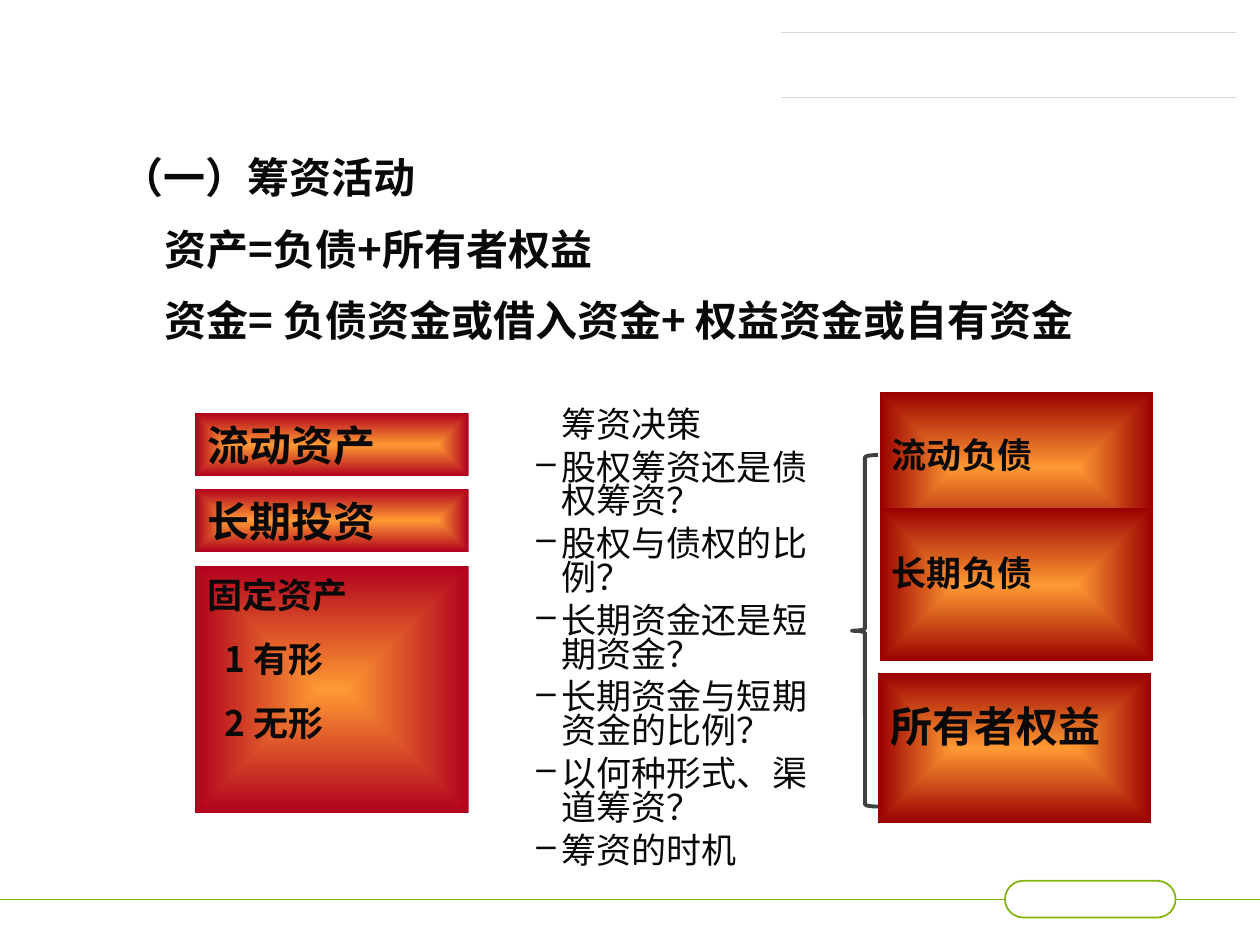
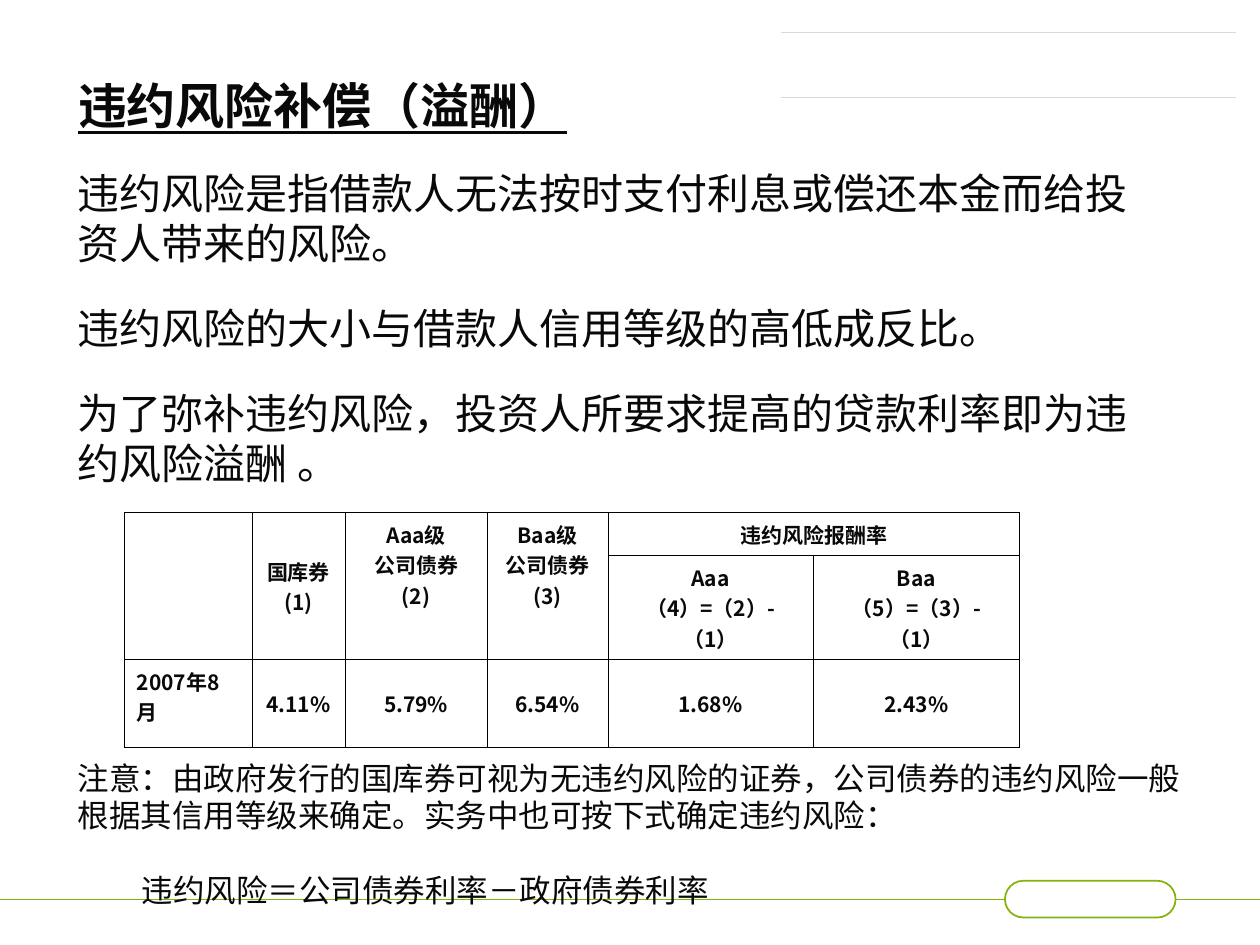
"""Build two finance slides: financing activities and the default risk premium."""
from lxml import etree
from pptx import Presentation
from pptx.dml.color import RGBColor
from pptx.enum.shapes import MSO_CONNECTOR, MSO_SHAPE
from pptx.enum.text import MSO_ANCHOR, PP_ALIGN
from pptx.oxml.ns import qn
from pptx.util import Pt

STRAIGHT = MSO_CONNECTOR.STRAIGHT
RECTANGLE, PILL, BRACE = MSO_SHAPE.RECTANGLE, MSO_SHAPE.ROUNDED_RECTANGLE, MSO_SHAPE.LEFT_BRACE
TOP, MIDDLE = MSO_ANCHOR.TOP, MSO_ANCHOR.MIDDLE
LEFT, CENTER = PP_ALIGN.LEFT, PP_ALIGN.CENTER
SC, JP, ARIAL = "Noto Sans CJK SC", "Noto Sans CJK JP", "Arial"
INK, GREEN, GREY, ORANGE = "090909", "83B40D", "D8D9DA", "FF9933"
CRIMSON, MAROON, BRACE_GREY, BLACK = "B1011E", "990000", "3F4143", "000000"


def rgb(code):
    """Turn a hex string into a colour."""
    return RGBColor.from_string(code)


def write(frame, lines, size, pitch=None, gap=0, bold=False, font=SC, align=LEFT, anchor=TOP):
    """Fill a text frame with one paragraph per line and return the paragraphs."""
    frame.word_wrap = True
    frame.vertical_anchor = anchor
    for index, line in enumerate(lines):
        paragraph = frame.paragraphs[0] if index == 0 else frame.add_paragraph()
        paragraph.alignment = align
        paragraph.space_before = Pt(gap if index else 0)
        if pitch:
            paragraph.line_spacing = Pt(pitch)
        run = paragraph.add_run()
        run.text = line
        run.font.size = Pt(size)
        run.font.bold = bold
        run.font.color.rgb = rgb(INK)
        run.font.name = font
        east_asian = SC if font == ARIAL else font
        etree.SubElement(run.font._element, qn("a:ea"), typeface=east_asian)
    return frame.paragraphs


deck = Presentation()
deck.slide_width, deck.slide_height = Pt(720), Pt(540)
title_only = deck.slide_layouts[5]
financing, default_risk = [deck.slides.add_slide(title_only) for _ in range(2)]

rules = [
    (446.4, 706.3, 18.5, GREY),
    (446.4, 706.3, 55.5, GREY),
    (0, 574.3, 514, GREEN),
    (671.8, 720, 514, GREEN),
]
for slide in (financing, default_risk):
    for start, end, y, colour in rules:
        rule = slide.shapes.add_connector(STRAIGHT, Pt(start), Pt(y), Pt(end), Pt(y))
        rule.line.color.rgb = rgb(colour)
        rule.line.width = Pt(0.5)
        etree.SubElement(rule._element.spPr, qn("a:effectLst"))
    page_pill = slide.shapes.add_shape(PILL, Pt(574.3), Pt(503.3), Pt(97.5), Pt(21))
    page_pill.adjustments[0] = 0.5
    page_pill.shadow.inherit = False
    page_pill.fill.background()
    page_pill.line.color.rgb = rgb(GREEN)
    page_pill.line.width = Pt(1)

headings = [
    (financing, "（一）筹资活动", (62, 86, 620, 40), 24, 25.6, SC),
    (default_risk, "违约风险补偿（溢酬）", (37.4, 40.4, 618, 46), 28, 33, ARIAL),
]
for slide, wording, (x, y, width, height), size, pitch, font in headings:
    heading = slide.shapes.title
    heading.left, heading.top = Pt(x), Pt(y)
    heading.width, heading.height = Pt(width), Pt(height)
    write(heading.text_frame, [wording], size, pitch, bold=True, font=font)
default_risk.shapes.title.text_frame.paragraphs[0].runs[0].font.underline = True

equations = financing.shapes.add_textbox(Pt(87.1), Pt(127.4), Pt(599), Pt(75))
write(equations.text_frame,
      ["资产=负债+所有者权益", "资金= 负债资金或借入资金+ 权益资金或自有资金"],
      24, 25.6, gap=15, bold=True)

funding_brace = financing.shapes.add_shape(BRACE, Pt(486.7), Pt(260), Pt(15.1), Pt(200.9))
funding_brace.shadow.inherit = False
funding_brace.fill.background()
funding_brace.line.color.rgb = rgb(BRACE_GREY)
funding_brace.line.width = Pt(2.25)

decisions = financing.shapes.add_textbox(Pt(299.5), Pt(231), Pt(187.2), Pt(292))
questions = ["筹资决策", "股权筹资还是债权筹资？", "股权与债权的比例？", "长期资金还是短期资金？",
             "长期资金与短期资金的比例？", "以何种形式、渠道筹资？", "筹资的时机"]
for index, question in enumerate(write(decisions.text_frame, questions, 20, 19.4, gap=5)):
    properties = question._p.get_or_add_pPr()
    properties.set("marL", str(Pt(14.4)))
    properties.set("indent", str(-Pt(14.4) if index else 0))
    if index:
        etree.SubElement(properties, qn("a:buChar"), char="–")

balance_sheet = [
    (111.6, 236.2, 36, CRIMSON, ["流动资产"], 24, JP, 3.6),
    (111.6, 323.3, 141.1, CRIMSON, ["固定资产", "1 有形", "2 无形"], 20, SC, 4.6),
    (501.8, 384.5, 85.7, MAROON, ["所有者权益"], 24, JP, 15.8),
    (502.6, 223.9, 86.4, MAROON, ["流动负债"], 20, JP, 23.7),
    (502.6, 290.2, 87.8, MAROON, ["长期负债"], 20, JP, 24.8),
    (111.6, 279.4, 36, CRIMSON, ["长期投资"], 24, JP, 3.6),
]
for x, y, height, edge, items, size, font, inset in balance_sheet:
    account = financing.shapes.add_shape(RECTANGLE, Pt(x), Pt(y), Pt(156.2), Pt(height))
    account.shadow.inherit = False
    account.line.fill.background()
    account.fill.gradient()
    for stop, colour in zip(account.fill.gradient_stops, (ORANGE, edge)):
        stop.color.rgb = rgb(colour)
    gradient = account._element.spPr.find(qn("a:gradFill"))
    gradient.remove(gradient.find(qn("a:lin")))
    glow = etree.SubElement(gradient, qn("a:path"), path="rect")
    etree.SubElement(glow, qn("a:fillToRect"), l="50000", t="50000", r="50000", b="50000")
    account.text_frame.margin_top = Pt(inset)
    lines = write(account.text_frame, items, size, size * 1.2, gap=12.5, bold=True, font=font)
    for detail in lines[1:]:
        detail._p.get_or_add_pPr().set("marL", str(Pt(9.8)))

explanation = default_risk.shapes.add_textbox(Pt(37.4), Pt(92.4), Pt(618.5), Pt(190))
write(explanation.text_frame,
      ["违约风险是指借款人无法按时支付利息或偿还本金而给投资人带来的风险。",
       "违约风险的大小与借款人信用等级的高低成反比。",
       "为了弥补违约风险，投资人所要求提高的贷款利率即为违约风险溢酬 。"],
      24, 28.6, gap=20)

column_widths = [73, 53.2, 81.2, 69, 117.3, 118]
row_heights = [24.6, 59.4, 50.3]
yields = default_risk.shapes.add_table(
    3, 6, Pt(71), Pt(293), Pt(sum(column_widths)), Pt(sum(row_heights))).table
yields.first_row = yields.horz_banding = False
for column, width in zip(yields.columns, column_widths):
    column.width = Pt(width)
for row, height in zip(yields.rows, row_heights):
    row.height = Pt(height)
for column in range(4):
    yields.cell(0, column).merge(yields.cell(1, column))
yields.cell(0, 4).merge(yields.cell(0, 5))

for cell in yields.iter_cells():
    cell_properties = cell._tc.get_or_add_tcPr()
    for side in ("a:lnL", "a:lnR", "a:lnT", "a:lnB"):
        border = etree.SubElement(cell_properties, qn(side), w=str(Pt(0.45)))
        ink = etree.SubElement(border, qn("a:solidFill"))
        etree.SubElement(ink, qn("a:srgbClr"), val=BLACK)
    cell.fill.background()

entries = [
    (0, 1, ["国库券", "(1)"], CENTER, MIDDLE),
    (0, 2, ["Aaa级", "公司债券", "(2)"], CENTER, TOP),
    (0, 3, ["Baa级", "公司债券", "(3)"], CENTER, TOP),
    (0, 4, ["违约风险报酬率"], CENTER, TOP),
    (1, 4, ["Aaa", "（4）=（2）-（1）"], CENTER, MIDDLE),
    (1, 5, ["Baa", "（5）=（3）-（1）"], CENTER, MIDDLE),
    (2, 0, ["2007年8月"], LEFT, TOP),
]
rates = ["4.11%", "5.79%", "6.54%", "1.68%", "2.43%"]
entries += [(2, column, [rate], CENTER, MIDDLE) for column, rate in enumerate(rates, 1)]
for row, column, lines, align, anchor in entries:
    cell = yields.cell(row, column)
    write(cell.text_frame, lines, 12, bold=True, align=align)
    cell.vertical_anchor = anchor

note = default_risk.shapes.add_textbox(Pt(37.4), Pt(430.4), Pt(656), Pt(94))
formula = write(note.text_frame,
                ["注意：由政府发行的国库券可视为无违约风险的证券，公司债券的违约风险一般"
                 "根据其信用等级来确定。实务中也可按下式确定违约风险：",
                 "违约风险＝公司债券利率－政府债券利率"],
                18, 21.4, gap=21.4)[-1]
formula._p.get_or_add_pPr().set("marL", str(Pt(36.5)))

deck.save("out.pptx")
